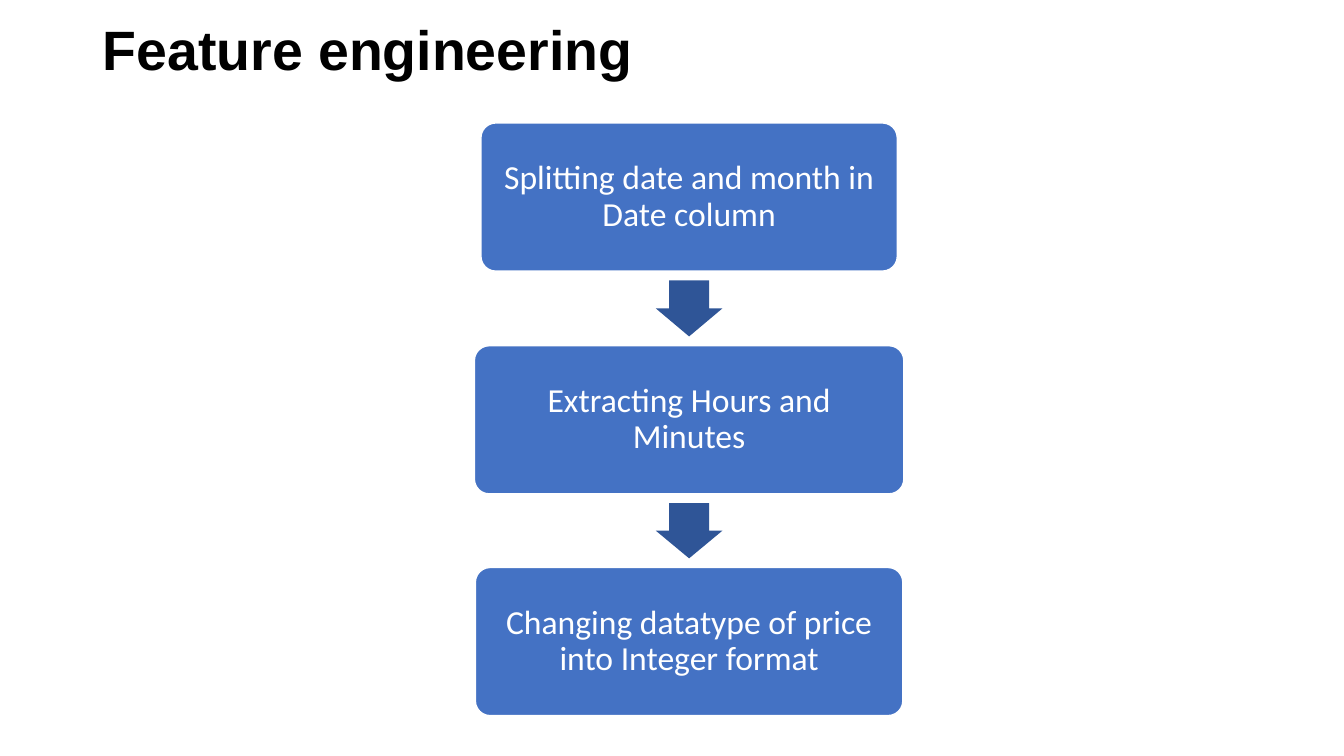
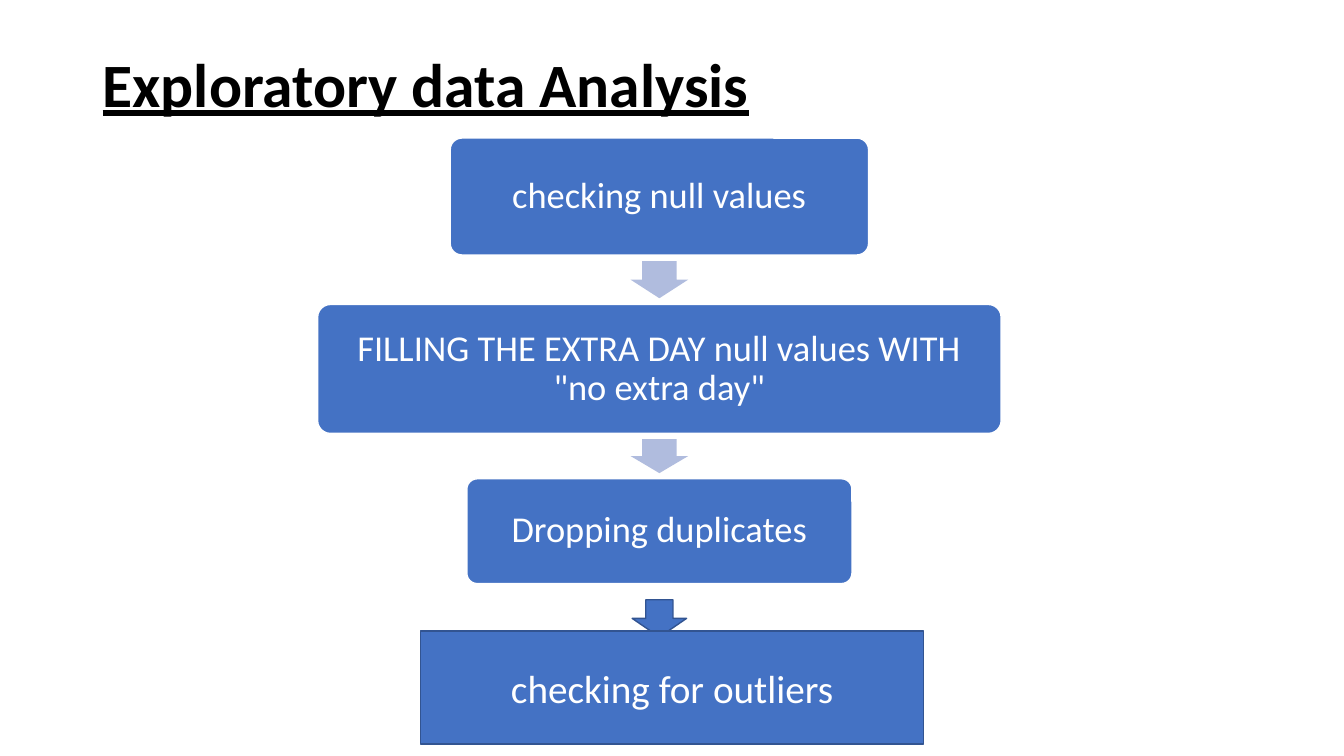
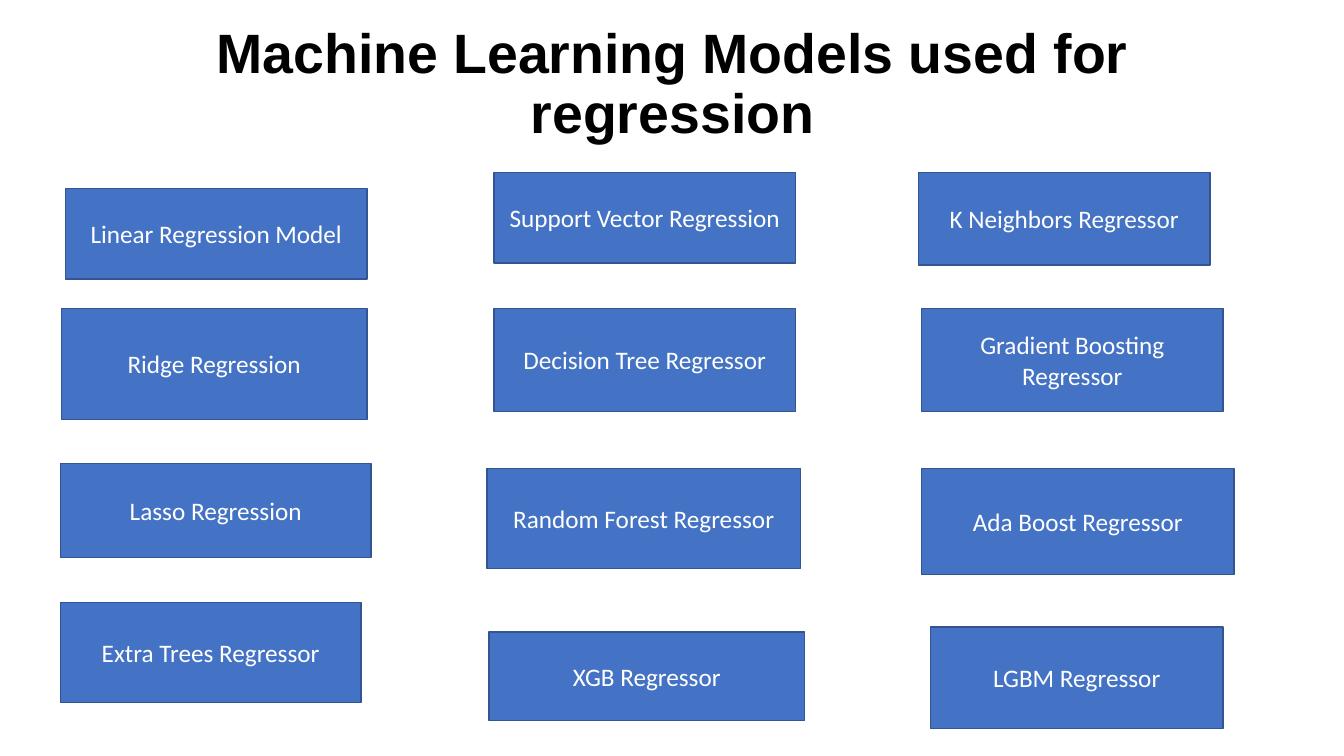
from pptx import Presentation
from pptx.dml.color import RGBColor
from pptx.enum.shapes import MSO_SHAPE
from pptx.enum.text import MSO_ANCHOR, PP_ALIGN
from pptx.util import Inches, Pt

RECT = MSO_SHAPE.RECTANGLE
ROUND = MSO_SHAPE.ROUNDED_RECTANGLE
DOWN = MSO_SHAPE.DOWN_ARROW
MIDDLE = MSO_ANCHOR.MIDDLE
LEFT, CENTER = PP_ALIGN.LEFT, PP_ALIGN.CENTER

COLORS = {
    "title": "000000",
    "white": "FFFFFF",
    "box": "4472C4",
    "edge": "325491",
    "dark_arrow": "2F5597",
    "pale_arrow": "B0BCDE",
}

prs = Presentation()
prs.slide_width, prs.slide_height = Inches(13.33), Inches(7.5)
COL = prs.slide_width / 133.3
ROW = prs.slide_height / 75


def add_block(s, kind, x, y, w, h, fill, line=None, adj=()):
    sp = s.shapes.add_shape(kind, int(x * COL), int(y * ROW), int(w * COL), int(h * ROW))
    sp.shadow.inherit = False
    sp.fill.solid()
    sp.fill.fore_color.rgb = RGBColor.from_string(COLORS[fill])
    if line:
        sp.line.color.rgb = RGBColor.from_string(COLORS[line])
        sp.line.width = Pt(1)
    else:
        sp.line.fill.background()
    for i, value in enumerate(adj):
        sp.adjustments[i] = value
    return sp


def add_text(sp, text, size, color="white", font="Calibri", align=CENTER, spacing=1.0):
    tf = sp.text_frame
    tf.word_wrap = True
    tf.vertical_anchor = MIDDLE
    p = tf.paragraphs[0]
    p.text = text
    p.alignment = align
    p.line_spacing = spacing
    p.font.size = Pt(size)
    p.font.name = font
    p.font.color.rgb = RGBColor.from_string(COLORS[color])
    return p


titles = [
    ("Feature engineering", 1.2, 8, 39.6, "Arial", LEFT, False),
    ("Exploratory data Analysis", 1.4, 14.5, 44, "Calibri", LEFT, True),
    ("Machine Learning Models used for regression", 1.2, 14.5, 39.6, "Arial", CENTER, False),
]
slides = []
for text, y, h, size, font, align, underline in titles:
    s = prs.slides.add_slide(prs.slide_layouts[6])
    sp = s.shapes.add_textbox(int(9.2 * COL), int(y * ROW), int(115 * COL), int(h * ROW))
    p = add_text(sp, text, size, "title", font, align, 0.9)
    p.font.bold = True
    p.font.underline = underline
    slides.append(s)
features, analysis, models = slides

flows = [
    (features, 68.35, 24, 6.6, "dark_arrow", [
        ("Splitting date and month in Date column", 12.2, 41.3, 14.7),
        ("Extracting Hours and Minutes", 34.3, 42.6, 14.7),
        ("Changing datatype of price into Integer format", 56.3, 42.4, 14.7),
    ]),
    (analysis, 65.4, 26, 5.7, "pale_arrow", [
        ("checking null values", 13.7, 41.5, 11.6),
        ('FILLING THE EXTRA DAY null values WITH "no extra day"', 30.2, 67.8, 12.8),
        ("Dropping duplicates", 47.5, 38.2, 10.4),
    ]),
]
for s, mid, size, arrow_w, arrow_fill, steps in flows:
    bottom = None
    for text, y, w, h in steps:
        if bottom is not None:
            gap = y - bottom
            add_block(s, DOWN, mid - arrow_w / 2, bottom + gap / 8, arrow_w, gap * 0.75,
                      arrow_fill, adj=(0.6, 0.5))
        sp = add_block(s, ROUND, mid - w / 2, y, w, h, "box", "white", (0.1,))
        add_text(sp, text, size, spacing=0.9)
        bottom = y + h

add_block(analysis, DOWN, 62.7, 59.5, 5.4, 3.7, "box", "edge")
sp = add_block(analysis, RECT, 41.7, 62.6, 49.9, 11.2, "box", "edge")
add_text(sp, "checking for outliers", 28)

regressors = [
    ("Linear Regression Model", 6.5, 18.7, 29.9, 9),
    ("Ridge Regression", 6.1, 30.6, 30.3, 11),
    ("Lasso Regression", 6, 46, 30.8, 9.3),
    ("Extra Trees Regressor", 6, 59.8, 29.8, 9.9),
    ("Support Vector Regression", 49, 17.1, 29.9, 9),
    ("Decision Tree Regressor", 49, 30.6, 29.9, 10.2),
    ("Random Forest Regressor", 48.3, 46.5, 31.1, 9.9),
    ("XGB Regressor", 48.5, 62.7, 31.3, 8.8),
    ("K Neighbors Regressor", 91.1, 17.1, 28.9, 9.2),
    ("Gradient Boosting Regressor", 91.4, 30.6, 29.9, 10.2),
    ("Ada Boost Regressor", 91.4, 46.5, 31, 10.5),
    ("LGBM Regressor", 92.3, 62.2, 29, 10.1),
]
for text, x, y, w, h in regressors:
    add_text(add_block(models, RECT, x, y, w, h, "box", "edge"), text, 18)

prs.save("out.pptx")
